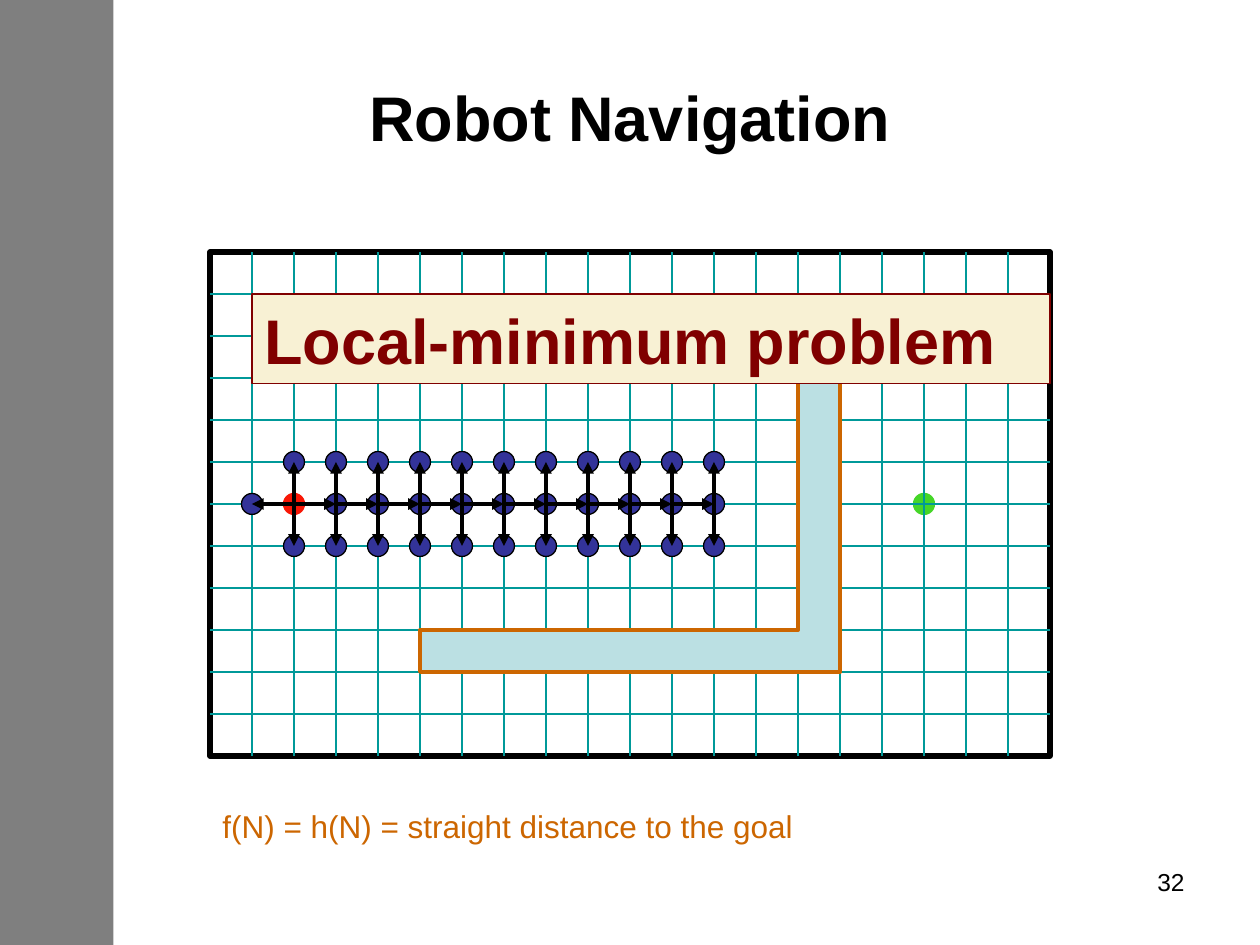
from lxml import etree
from pptx import Presentation
from pptx.dml.color import RGBColor
from pptx.enum.shapes import MSO_CONNECTOR, MSO_SHAPE
from pptx.enum.text import MSO_ANCHOR, PP_ALIGN
from pptx.oxml.ns import qn
from pptx.util import Inches, Pt

RECT, OVAL = MSO_SHAPE.RECTANGLE, MSO_SHAPE.OVAL
STRAIGHT = MSO_CONNECTOR.STRAIGHT
TOP, MIDDLE, BOTTOM = MSO_ANCHOR.TOP, MSO_ANCHOR.MIDDLE, MSO_ANCHOR.BOTTOM
LEFT, CENTER, RIGHT = PP_ALIGN.LEFT, PP_ALIGN.CENTER, PP_ALIGN.RIGHT

WIDTH, HEIGHT = 10, 7.5
CELL, COLS, ROWS = 1 / 3, 20, 12
MAP_LEFT, MAP_TOP = 5 * CELL, 6 * CELL
DOT = CELL / 2
START, GOAL, LAST_COL = (2, 6), (17, 6), 12
WALL = [(5, 2), (5, 3), (14, 3), (14, 9), (5, 9), (5, 10), (15, 10), (15, 2)]
UP, EAST, DOWN, WEST = (0, -1), (1, 0), (0, 1), (-1, 0)


def color(value):
    return RGBColor.from_string(value)


def point(col, row):
    return Inches(MAP_LEFT + col * CELL), Inches(MAP_TOP + row * CELL)


def paint(sp, fill=None, line=None, width=0.75):
    sp.shadow.inherit = False
    if fill:
        sp.fill.solid()
        sp.fill.fore_color.rgb = color(fill)
    else:
        sp.fill.background()
    if line:
        sp.line.color.rgb = color(line)
        sp.line.width = Pt(width)
    else:
        sp.line.fill.background()


def write(sp, text, size, ink, bold=False, align=LEFT, anchor=TOP):
    tf = sp.text_frame
    tf.word_wrap = True
    tf.vertical_anchor = anchor
    p = tf.paragraphs[0]
    p.alignment = align
    r = p.add_run()
    r.text = text
    for name, value in {"name": "Arial", "size": Pt(size), "bold": bold}.items():
        setattr(r.font, name, value)
    r.font.color.rgb = color(ink)


def segment(shapes, start, end, ink, width, arrow=False):
    line = shapes.add_connector(STRAIGHT, *point(*start), *point(*end))
    line.line.color.rgb = color(ink)
    line.line.width = Pt(width)
    if arrow:
        ln = line.line._get_or_add_ln()
        etree.SubElement(ln, qn("a:tailEnd"), type="triangle")
    etree.SubElement(line._element.spPr, qn("a:effectLst"))


def dot(shapes, node, fill, line):
    x, y = point(*node)
    size = Inches(DOT)
    sp = shapes.add_shape(OVAL, x - size // 2, y - size // 2, size, size)
    paint(sp, fill, line)


def draw_grid(s):
    shapes = s.shapes.add_group_shape().shapes
    frame = shapes.add_shape(RECT, *point(0, 0), Inches(COLS * CELL), Inches(ROWS * CELL))
    paint(frame, line="000000", width=3)
    for row in range(1, ROWS):
        segment(shapes, (0, row), (COLS, row), "009999", 0.75)
    for col in range(1, COLS):
        segment(shapes, (col, 0), (col, ROWS), "009999", 0.75)


def draw_wall(s):
    corners = [point(*corner) for corner in WALL]
    builder = s.shapes.build_freeform(*corners[0])
    builder.add_line_segments(corners[1:], close=True)
    paint(builder.convert_to_shape(), "BBE0E3", "CC6600", 2.25)


def draw_expansion(s, node, moves):
    shapes = s.shapes.add_group_shape().shapes
    neighbours = [(node[0] + dx, node[1] + dy) for dx, dy in moves]
    for neighbour in neighbours:
        dot(shapes, neighbour, "333399", "000000")
    for neighbour in neighbours:
        segment(shapes, node, neighbour, "000000", 2.25, arrow=True)


def draw_search(s):
    start_col, row = START
    for col in range(start_col, LAST_COL + 1):
        moves = [UP, DOWN]
        if col < LAST_COL:
            moves.insert(1, EAST)
        if col == start_col:
            moves.append(WEST)
        draw_expansion(s, (col, row), moves)


def draw_map(s):
    dot(s.shapes, START, "F81706", "F81706")
    dot(s.shapes, GOAL, "45D628", "45D628")
    draw_grid(s)
    draw_wall(s)
    draw_search(s)


def draw_side_band(s):
    band = s.shapes.add_shape(RECT, 0, 0, Inches(0.09 * WIDTH), Inches(HEIGHT))
    paint(band, "000000")
    fill = band._element.spPr.find(qn("a:solidFill"))
    etree.SubElement(fill[0], qn("a:alpha"), val="50000")


def place_title(s, left, top, width, height):
    title = s.shapes.title
    box = {"left": left, "top": top, "width": width, "height": height}
    for name, value in box.items():
        setattr(title, name, Inches(value))
    write(title, "Robot Navigation", 36, "000000", True, CENTER, MIDDLE)


def add_label(s, box, text, size, ink, align=LEFT):
    sp = s.shapes.add_textbox(*map(Inches, box))
    write(sp, text, size, ink, align=align)


def add_banner(s, width, height):
    sp = s.shapes.add_shape(RECT, *point(1, 1), Inches(width), Inches(height))
    paint(sp, "F8F1D4", "800000")
    write(sp, "Local-minimum problem", 36, "800000", True, anchor=BOTTOM)


def main():
    prs = Presentation()
    prs.slide_width, prs.slide_height = Inches(WIDTH), Inches(HEIGHT)
    s = prs.slides.add_slide(prs.slide_layouts[5])
    draw_side_band(s)
    add_label(s, (7.17, 6.83, 2.33, 0.52), "32", 14, "000000", RIGHT)
    place_title(s, 0.05 * WIDTH, 0.04 * HEIGHT, 0.9 * WIDTH, HEIGHT / 6)
    draw_map(s)
    add_label(s, (MAP_LEFT, 6.36, 6.48, 0.5),
              "f(N) = h(N) = straight distance to the goal", 18, "CC6600")
    add_banner(s, 19 * CELL, 0.71)
    prs.save("out.pptx")


if __name__ == "__main__":
    main()
